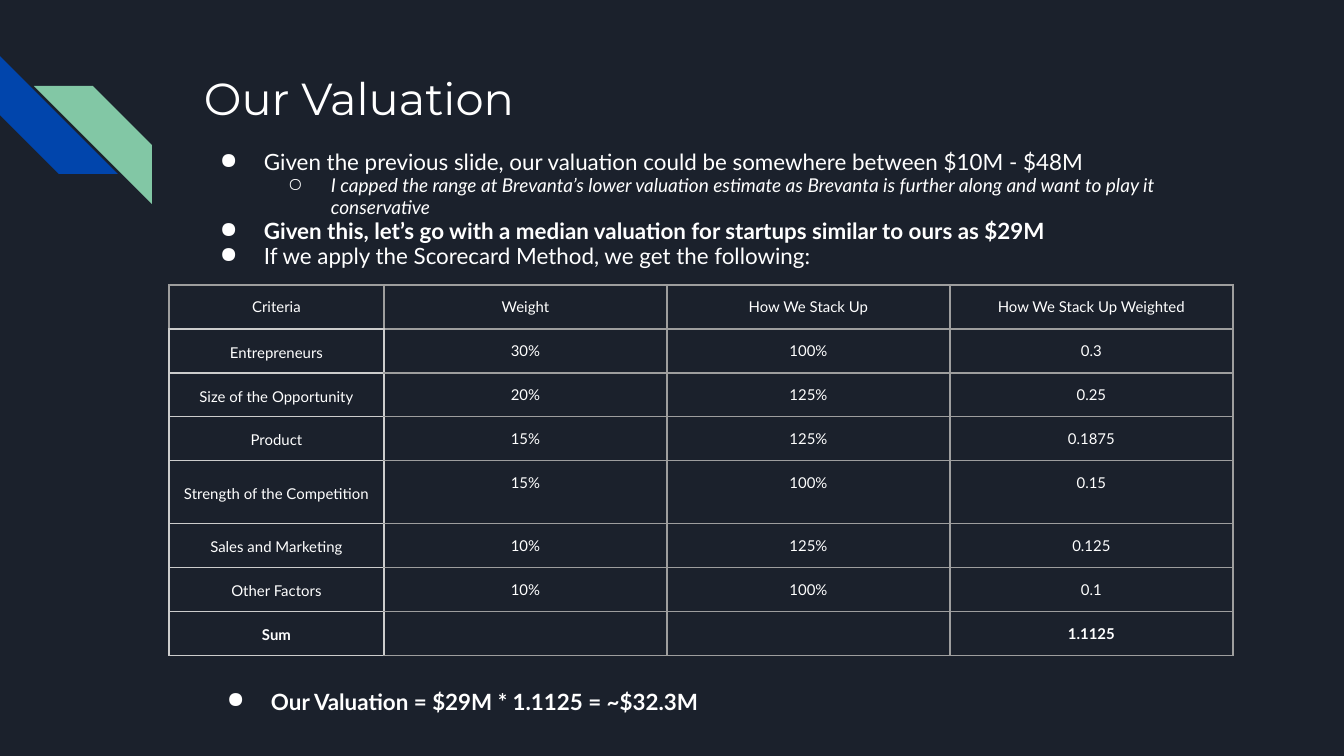
"""Build the valuation slide with its bullets and scorecard table."""
from lxml.etree import SubElement
from pptx import Presentation
from pptx.dml.color import RGBColor
from pptx.enum.shapes import MSO_SHAPE as SHAPE
from pptx.enum.text import MSO_ANCHOR as ANCHOR, PP_ALIGN as ALIGN
from pptx.oxml.ns import qn
from pptx.util import Pt

PX = 9144000 / 1344
NAVY = RGBColor(0x1B, 0x21, 0x2C)
BLUE = RGBColor(0x01, 0x45, 0xAC)
GREEN = RGBColor(0x82, 0xC7, 0xA5)
WHITE = RGBColor(0xFF, 0xFF, 0xFF)
GREY = RGBColor(0x9E, 0x9E, 0x9E)
LIGHT = RGBColor(0xCC, 0xCC, 0xCC)


def px(*values):
    return [round(v * PX) for v in values]


def add_run(p, text, **fmt):
    r = p.add_run()
    r.text = text
    r.font.color.rgb = WHITE
    for name, value in ({"name": "Lato"} | fmt).items():
        setattr(r.font, name, value)


prs = Presentation()
prs.slide_width, prs.slide_height = px(1344, 756)
s = prs.slides.add_slide(prs.slide_layouts[6])
s.background.fill.solid()
s.background.fill.fore_color.rgb = NAVY

for x, y, color, rotation, flip in [(0, 56, BLUE, 270, "0"), (34, 86, GREEN, 0, "1")]:
    sp = s.shapes.add_shape(SHAPE.DIAGONAL_STRIPE, *px(x, y, 118, 118))
    sp.shadow.inherit = False
    sp.fill.solid()
    sp.fill.fore_color.rgb = color
    sp.line.fill.background()
    sp.rotation = rotation
    sp._element.spPr.find(qn("a:xfrm")).set("flipH", flip)

TOP, SUB = ("●", 67, -44), ("○", 134, -43)
TEXTS = [
    ((191, 58, 1035, 134), 1, [
        (None, "Our Valuation", {"size": Pt(24), "name": "Montserrat"}),
    ]),
    ((184, 137, 1035, 148), 0.95, [
        (TOP, "Given the previous slide, our valuation could be somewhere between $10M - $48M",
         {"size": Pt(12)}),
        (SUB, "I capped the range at Brevanta’s lower valuation estimate as Brevanta is "
              "further along and want to play it conservative",
         {"size": Pt(10.2), "italic": True}),
        (TOP, "Given this, let’s go with a median valuation for startups similar to ours as $29M",
         {"size": Pt(12), "bold": True}),
        (TOP, "If we apply the Scorecard Method, we get the following:", {"size": Pt(12)}),
    ]),
    ((191, 671, 1035, 70), 1.15, [
        (TOP, "Our Valuation = $29M * 1.1125 = ~$32.3M", {"size": Pt(12), "bold": True}),
    ]),
]
for box, spacing, lines in TEXTS:
    tf = s.shapes.add_textbox(*px(*box)).text_frame
    tf.word_wrap = True
    tf.margin_left, tf.margin_right, tf.margin_top, tf.margin_bottom = px(13, 13, 13, 13)
    for i, (bullet, text, fmt) in enumerate(lines):
        p = tf.add_paragraph() if i else tf.paragraphs[0]
        p.line_spacing = spacing
        if bullet:
            char, margin, indent = bullet
            pPr = p._p.get_or_add_pPr()
            pPr.set("marL", str(px(margin)[0]))
            pPr.set("indent", str(px(indent)[0]))
            SubElement(SubElement(pPr, qn("a:buClr")), qn("a:srgbClr"), val=str(WHITE))
            SubElement(pPr, qn("a:buChar"), char=char)
        add_run(p, text, **fmt)

ROWS = [
    ("Criteria", "Weight", "How We Stack Up", "How We Stack Up Weighted"),
    ("Entrepreneurs", "30%", "100%", "0.3"),
    ("Size of the Opportunity", "20%", "125%", "0.25"),
    ("Product", "15%", "125%", "0.1875"),
    ("Strength of the Competition", "15%", "100%", "0.15"),
    ("Sales and Marketing", "10%", "125%", "0.125"),
    ("Other Factors", "10%", "100%", "0.1"),
    ("Sum", "", "", "1.1125"),
]
WIDTHS = [215, 283, 283, 283]
HEIGHTS = [63 if row[0].startswith("Strength") else 44 for row in ROWS]
table = s.shapes.add_table(len(ROWS), len(WIDTHS),
                           *px(169, 285, sum(WIDTHS), sum(HEIGHTS))).table
table.first_row = table.horz_banding = False
for column, width in zip(table.columns, px(*WIDTHS)):
    column.width = width
for row, height in zip(table.rows, px(*HEIGHTS)):
    row.height = height

for i, values in enumerate(ROWS):
    for j, text in enumerate(values):
        cell = table.cell(i, j)
        label = i > 0 and j == 0
        dx, dy = (4, 3) if label else (13, 13)
        cell.margin_left, cell.margin_right, cell.margin_top, cell.margin_bottom = px(dx, dx, dy, dy)
        cell.vertical_anchor = ANCHOR.MIDDLE if label else ANCHOR.TOP
        p = cell.text_frame.paragraphs[0]
        p.alignment = ALIGN.CENTER
        if label:
            p.line_spacing = 1.15
        if text:
            add_run(p, text, size=Pt(8), bold=text in ("Sum", "1.1125"))
        else:
            SubElement(p._p, qn("a:endParaRPr"), sz="800")
        tcPr = cell._tc.get_or_add_tcPr()
        for side in "LRTB":
            light = label or (i > 0 and j == 1 and side == "L") or (i == j == 0 and side == "B")
            ln = SubElement(tcPr, qn(f"a:ln{side}"), w=str(Pt(0.75)))
            fill = SubElement(ln, qn("a:solidFill"))
            SubElement(fill, qn("a:srgbClr"), val=str(LIGHT if light else GREY))
        cell.fill.background()

prs.save("out.pptx")
